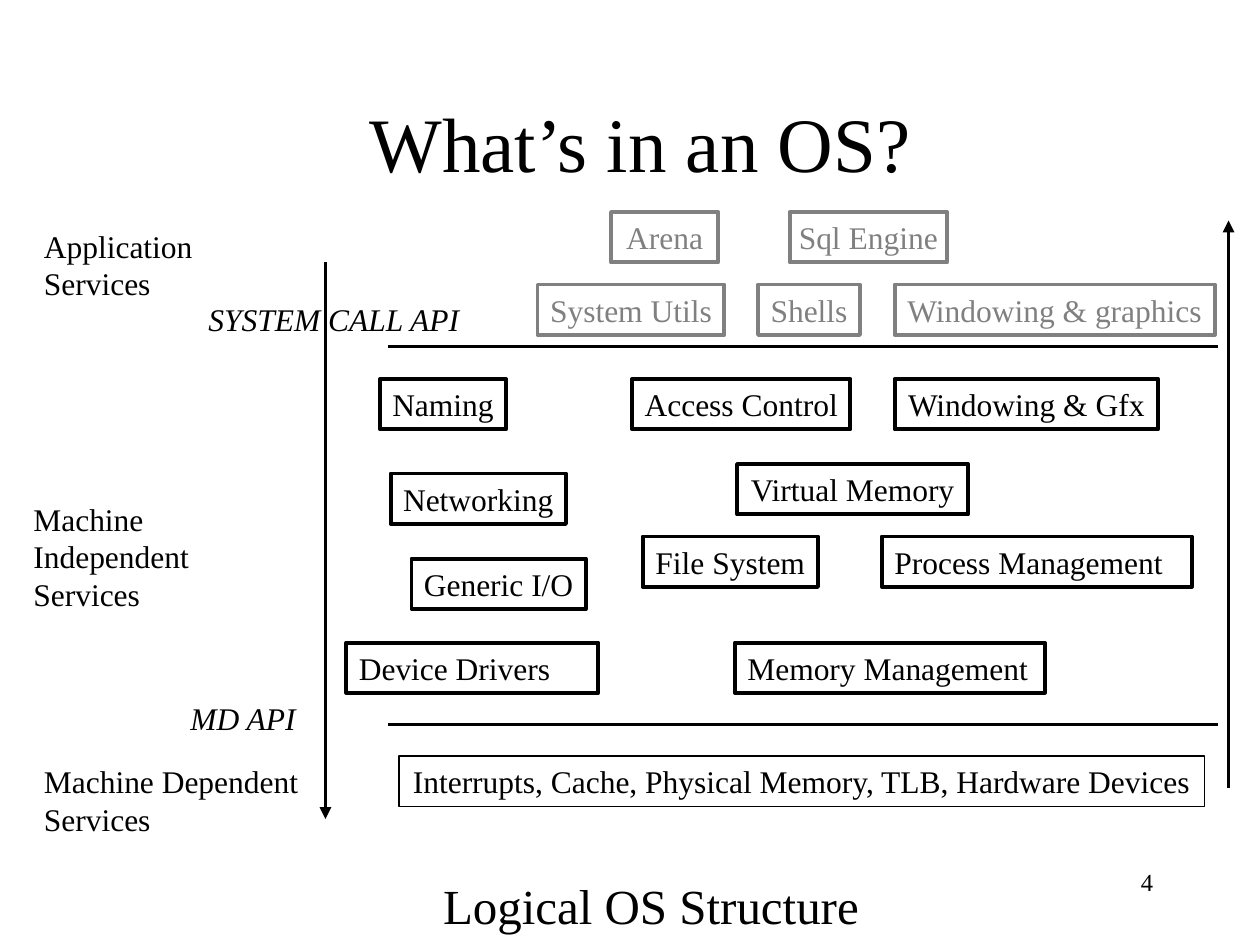
from dataclasses import dataclass

import pptx
import pptx.util
import pptx.dml.color
import pptx.enum.shapes
import pptx.enum.text
import pptx.oxml
import pptx.oxml.ns


@dataclass(frozen=True)
class Theme:
    font: str = "Times New Roman"
    ink: str = "000000"
    muted: str = "808080"
    title: int = 44
    caption: int = 28
    label: int = 18
    number: int = 14
    thick: float = 2.25
    thin: float = 0.75


theme = Theme()
LEFT, CENTER, RIGHT = (pptx.enum.text.PP_ALIGN.LEFT, pptx.enum.text.PP_ALIGN.CENTER,
                       pptx.enum.text.PP_ALIGN.RIGHT)
TOP, MIDDLE = pptx.enum.text.MSO_ANCHOR.TOP, pptx.enum.text.MSO_ANCHOR.MIDDLE
RGB = pptx.dml.color.RGBColor.from_string

prs = pptx.Presentation()
prs.slide_width, prs.slide_height = pptx.util.Inches(10), pptx.util.Inches(7.5)
s = prs.slides.add_slide(prs.slide_layouts[5])

# The slide is a grid of 120 columns by 90 rows.
COL, ROW = prs.slide_width / 120, prs.slide_height / 90
BOX_ROWS = 4.8


def grid(col, row, cols, rows):
    return [round(v) for v in (col * COL, row * ROW, cols * COL, rows * ROW)]


def write(sp, text, size=theme.label, color=theme.ink, align=LEFT, anchor=MIDDLE,
          wrap=True, italic=False):
    """Fill a shape's text frame with a single formatted run."""
    tf = sp.text_frame
    tf.word_wrap = wrap
    tf.vertical_anchor = anchor
    p = tf.paragraphs[0]
    p.alignment = align
    r = p.add_run()
    r.text = text
    r.font.name, r.font.size = theme.font, pptx.util.Pt(size)
    r.font.italic = italic
    r.font.color.rgb = RGB(color)


# Title, caption and slide number
title = s.shapes.title
title.left, title.top, title.width, title.height = grid(10, 6, 102, 15)
write(title, "What’s in an OS?", theme.title, align=CENTER)
write(s.shapes.add_textbox(*grid(41, 82.8, 42, 6.8)), "Logical OS Structure",
      theme.caption, align=CENTER, wrap=False)
write(s.shapes.add_textbox(*grid(86, 82, 25, 6)), "4",
      theme.number, align=RIGHT, anchor=TOP)

# Layer names down the left side: text, column, row, rows
layers = [
    ("Application Services", 3, 21, 8.4),
    ("Machine Independent Services", 2, 47, 12),
    ("Machine Dependent Services", 3, 72, 8.4),
]
for text, col, row, rows in layers:
    write(s.shapes.add_textbox(*grid(col, row, 27, rows)), text, anchor=TOP)

# Interfaces between layers: text, column, row, columns
interfaces = [("SYSTEM CALL API", 18.6, 28, 26.4), ("MD API", 16.9, 66, 12.5)]
for text, col, row, cols in interfaces:
    write(s.shapes.add_textbox(*grid(col, row, cols, BOX_ROWS)), text,
          align=CENTER, wrap=False, italic=True)

# Component boxes by layer; each box: text, column, row, columns, alignment
applications = [
    ("Arena", 58.2, 20.2, 10.2, CENTER),
    ("Sql Engine", 75.2, 20.2, 15, CENTER),
    ("System Utils", 51.2, 27.1, 17.8, CENTER),
    ("Shells", 72.2, 27.1, 9.7, CENTER),
    ("Windowing & graphics", 85.2, 27.1, 30.5, CENTER),
]
independent = [
    ("Naming", 36.2, 36.1, 12, CENTER),
    ("Access Control", 60.2, 36.1, 20.8, CENTER),
    ("Windowing & Gfx", 85.2, 36.1, 25.1, CENTER),
    ("Virtual Memory", 70.2, 44.2, 22, CENTER),
    ("Networking", 37.2, 45.1, 16.7, CENTER),
    ("File System", 61.2, 51.1, 16.7, CENTER),
    ("Process Management", 84, 51.1, 29.5, LEFT),
    ("Generic I/O", 39.2, 53.2, 16.6, CENTER),
    ("Device Drivers", 33, 61.2, 24, LEFT),
    ("Memory Management", 70, 61.2, 29.5, LEFT),
]
dependent = [
    ("Interrupts, Cache, Physical Memory, TLB, Hardware Devices", 38, 72, 76.7, CENTER),
]
for boxes, color, weight in [(applications, theme.muted, theme.thick),
                             (independent, theme.ink, theme.thick),
                             (dependent, theme.ink, theme.thin)]:
    for text, col, row, cols, align in boxes:
        sp = s.shapes.add_shape(pptx.enum.shapes.MSO_SHAPE.RECTANGLE,
                                *grid(col, row, cols, BOX_ROWS))
        sp.shadow.inherit = False
        sp.fill.background()
        sp.line.color.rgb = RGB(color)
        sp.line.width = pptx.util.Pt(weight)
        write(sp, text, color=color, align=align, wrap=align == LEFT)

# Interface rules and direction arrows: start, end, arrowhead
lines = [
    ((37, 33), (116, 33), False),
    ((37, 69), (116, 69), False),
    ((117, 75), (117, 21), True),
    ((31, 25), (31, 78), True),
]
for start, end, arrow in lines:
    line = s.shapes.add_connector(pptx.enum.shapes.MSO_CONNECTOR.STRAIGHT,
                                  *grid(*start, *end))
    line.line.color.rgb = RGB(theme.ink)
    line.line.width = pptx.util.Pt(theme.thick)
    props = line._element.spPr
    if arrow:
        head = pptx.oxml.parse_xml(
            f'<a:tailEnd {pptx.oxml.ns.nsdecls("a")} type="triangle"/>')
        line.line._get_or_add_ln().append(head)
    props.append(pptx.oxml.parse_xml(f'<a:effectLst {pptx.oxml.ns.nsdecls("a")}/>'))

prs.save("out.pptx")
